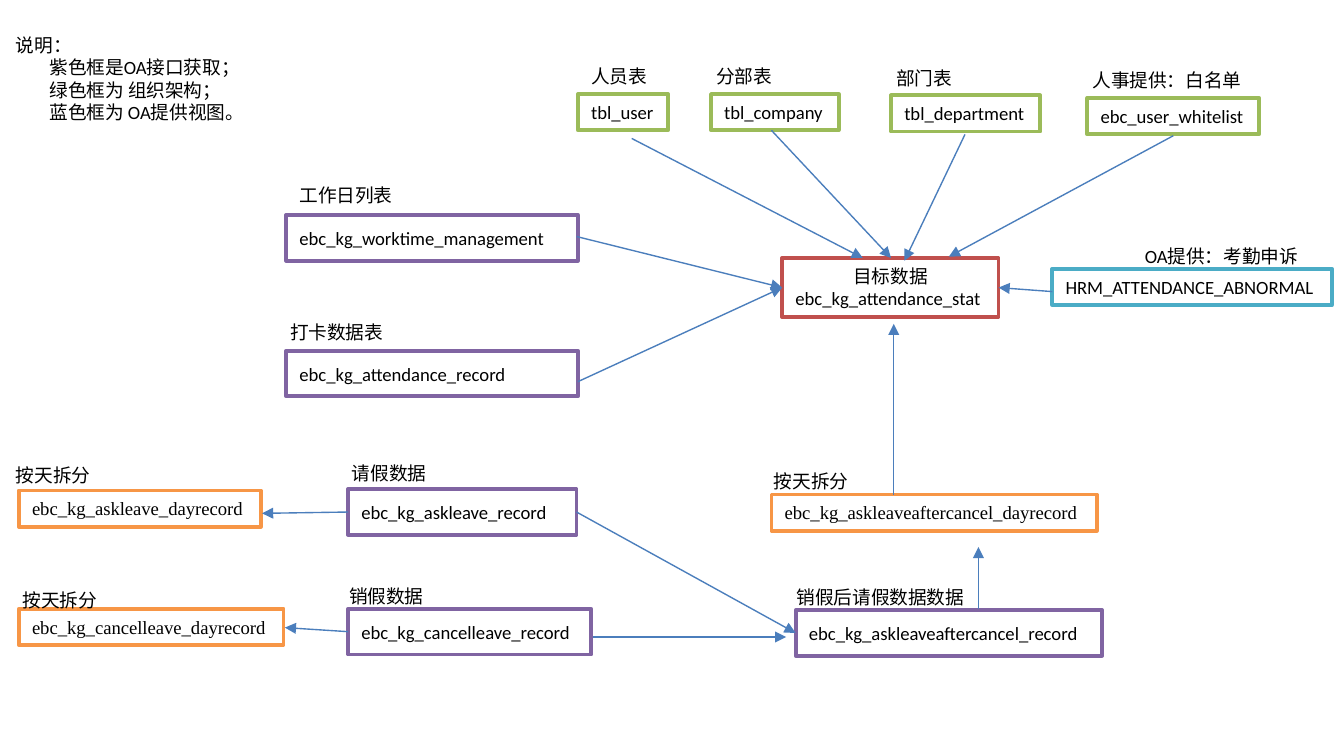
import pptx
import pptx.util
import pptx.dml.color
import pptx.enum.shapes
import pptx.enum.text
import pptx.oxml.ns
import lxml.etree
from dataclasses import dataclass

Inches, Pt = pptx.util.Inches, pptx.util.Pt
qn = pptx.oxml.ns.qn
Align = pptx.enum.text.PP_ALIGN
Anchor = pptx.enum.text.MSO_ANCHOR
Fit = pptx.enum.text.MSO_AUTO_SIZE
rgb = pptx.dml.color.RGBColor.from_string


@dataclass
class Theme:
    ink: str = "000000"
    arrow: str = "4B7EBC"
    purple: str = "8064A2"
    green: str = "9BBB59"
    orange: str = "F79646"
    red: str = "C0504D"
    teal: str = "4BACC6"
    sans: str = "Calibri"
    serif: str = "Times New Roman"
    size: float = 10
    frame: float = 2
    thin: float = 0.75


theme = Theme()
deck = pptx.Presentation()
# Widescreen page, 16:9
deck.slide_width = Inches(10)
deck.slide_height = Inches(10 * 9 / 16)
slide = deck.slides.add_slide(deck.slide_layouts[6])
shapes = slide.shapes


def write(para, text, font=theme.sans):
    para.alignment = Align.LEFT
    run = para.add_run()
    run.text = text
    run.font.name = font
    run.font.size = Pt(theme.size)
    run.font.color.rgb = rgb(theme.ink)


def frame(left, top, width, height, color, grow=True):
    box = shapes.add_shape(pptx.enum.shapes.MSO_SHAPE.RECTANGLE, Inches(left),
                           Inches(top), Inches(width), Inches(height))
    box.shadow.inherit = False
    box.fill.background()
    box.line.color.rgb = rgb(color)
    box.line.width = Pt(theme.frame)
    body = box.text_frame
    body.word_wrap = not grow
    body.auto_size = Fit.SHAPE_TO_FIT_TEXT if grow else Fit.NONE
    body.vertical_anchor = Anchor.TOP if grow else Anchor.MIDDLE
    return body


# Tall boxes: tables fetched through the interface
for left, top, width, name in [
    (2.13, 1.6, 2.17, "ebc_kg_worktime_management"),
    (2.13, 2.61, 2.17, "ebc_kg_attendance_record"),
    (2.59, 3.64, 1.7, "ebc_kg_askleave_record"),
    (2.59, 4.53, 1.81, "ebc_kg_cancelleave_record"),
    (5.92, 4.54, 2.28, "ebc_kg_askleaveaftercancel_record"),
]:
    body = frame(left, top, width, 0.34, theme.purple, grow=False)
    write(body.paragraphs[0], name)

# Low boxes: organisation, view and daily split tables
for left, top, width, name, color, font in [
    (4.3, 0.7, 0.67, "tbl_user", theme.green, theme.sans),
    (5.29, 0.7, 0.95, "tbl_company", theme.green, theme.sans),
    (6.63, 0.71, 1.11, "tbl_department", theme.green, theme.sans),
    (8.09, 0.73, 1.28, "ebc_user_whitelist", theme.green, theme.sans),
    (7.83, 2, 2.08, "HRM_ATTENDANCE_ABNORMAL", theme.teal, theme.sans),
    (0.14, 3.65, 1.8, "ebc_kg_askleave_dayrecord", theme.orange, theme.serif),
    (0.14, 4.53, 1.97, "ebc_kg_cancelleave_dayrecord", theme.orange, theme.serif),
    (5.74, 3.68, 2.42, "ebc_kg_askleaveaftercancel_dayrecord", theme.orange, theme.serif),
]:
    body = frame(left, top, width, 0.27, color)
    write(body.paragraphs[0], name, font)

# Target table
body = frame(5.82, 1.92, 1.61, 0.44, theme.red)
write(body.paragraphs[0], "目标数据", theme.serif)
body.paragraphs[0].alignment = Align.CENTER
write(body.add_paragraph(), "ebc_kg_attendance_stat")

# Labels above the boxes
for left, top, width, text in [
    (4.3, 0.43, 0.62, "人员表"),
    (5.23, 0.43, 0.62, "分部表"),
    (6.57, 0.45, 0.62, "部门表"),
    (8.03, 0.46, 1.32, "人事提供：白名单"),
    (8.42, 1.77, 1.53, "OA提供：考勤申诉"),
    (2.13, 1.32, 0.9, "工作日列表"),
    (2.06, 2.34, 0.9, "打卡数据表"),
    (0.02, 3.4, 0.76, "按天拆分"),
    (2.52, 3.39, 0.76, "请假数据"),
    (5.66, 3.45, 0.76, "按天拆分"),
    (0.07, 4.33, 0.76, "按天拆分"),
    (2.5, 4.3, 0.76, "销假数据"),
    (5.83, 4.31, 1.46, "销假后请假数据数据"),
]:
    body = shapes.add_textbox(Inches(left), Inches(top), Inches(width), Inches(0.27)).text_frame
    body.word_wrap = False
    body.auto_size = Fit.SHAPE_TO_FIT_TEXT
    write(body.paragraphs[0], text)

# Colour key, indented below its heading
body = shapes.add_textbox(Inches(0.02), Inches(0.2), Inches(1.83), Inches(1.21)).text_frame
body.word_wrap = True
body.margin_right = Inches(0)
write(body.paragraphs[0], "说明：")
for text in ["紫色框是OA接口获取；", "绿色框为 组织架构；", "蓝色框为 OA提供视图。"]:
    para = body.add_paragraph()
    write(para, text)
    para._p.get_or_add_pPr().set("marL", str(Inches(0.25)))

# Arrows
for x1, y1, x2, y2 in [
    (4.7, 1.03, 6.42, 1.92),
    (5.74, 0.97, 6.63, 1.92),
    (7.18, 1, 6.73, 1.94),
    (8.73, 1.01, 7.06, 1.91),
    (7.83, 2.17, 7.43, 2.14),
    (4.29, 1.76, 5.82, 2.14),
    (4.3, 2.84, 5.82, 2.14),
    (6.65, 3.68, 6.65, 2.41),
    (7.28, 4.53, 7.28, 4.07),
    (2.59, 3.81, 1.95, 3.82),
    (2.59, 4.7, 2.12, 4.67),
    (4.29, 3.81, 5.92, 4.71),
    (4.41, 4.74, 5.85, 4.74),
]:
    link = shapes.add_connector(pptx.enum.shapes.MSO_CONNECTOR.STRAIGHT,
                                Inches(x1), Inches(y1), Inches(x2), Inches(y2))
    link.line.color.rgb = rgb(theme.arrow)
    link.line.width = Pt(theme.thin)
    lxml.etree.SubElement(link.line._get_or_add_ln(), qn("a:tailEnd"), type="triangle")
    lxml.etree.SubElement(link._element.spPr, qn("a:effectLst"))

deck.save("out.pptx")
